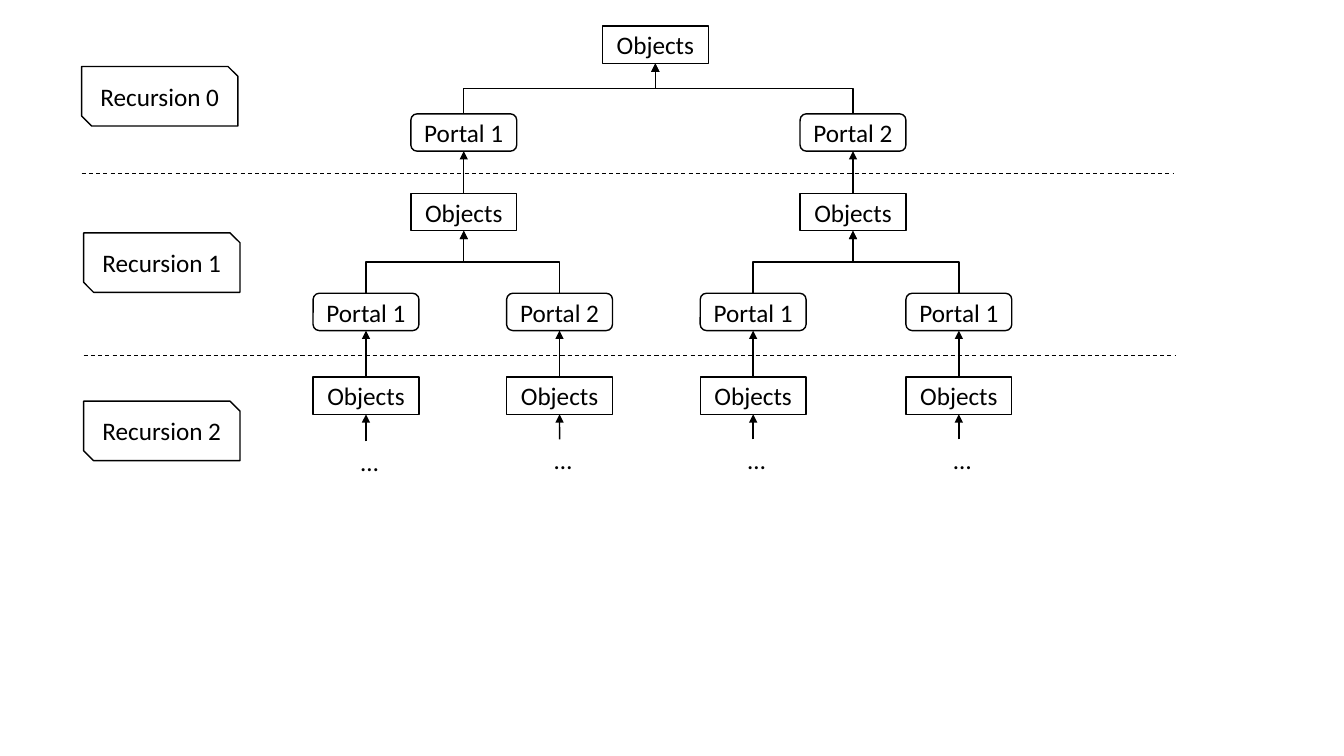
from dataclasses import dataclass

from lxml.etree import SubElement
from pptx import Presentation
from pptx.dml.color import RGBColor
from pptx.enum.dml import MSO_LINE
from pptx.enum.shapes import MSO_CONNECTOR, MSO_SHAPE
from pptx.enum.text import MSO_ANCHOR, PP_ALIGN
from pptx.oxml.ns import qn
from pptx.util import Inches, Pt


@dataclass(frozen=True)
class Theme:
    ink: RGBColor = RGBColor(0, 0, 0)
    paper: RGBColor = RGBColor(255, 255, 255)
    font: str = "Calibri"
    size: float = 18
    line: float = 1
    divider: float = 0.75


THEME = Theme()

# Grid: column centres and row tops, in inches
ROOT, LEFT, RIGHT = 6.5, 4.6, 8.46
LEAVES = [3.63, 5.55, 7.47, 9.51]
ROWS = [0.26, 1.13, 1.92, 2.91, 3.74]
BOX_W, BOX_H = 1.05, 0.37
TAG_W, TAG_H = 1.55, 0.59
DOTS_W, DOTS_H = 0.3, 0.4
DIVIDER_W = 10.82
TOP_SITE, BOTTOM_SITE = 0, 2


def write(s, text, anchor):
    tf = s.text_frame
    tf.word_wrap = True
    tf.vertical_anchor = anchor
    p = tf.paragraphs[0]
    p.alignment = PP_ALIGN.CENTER
    r = p.add_run()
    r.text = text
    r.font.name = THEME.font
    r.font.size = Pt(THEME.size)
    r.font.color.rgb = THEME.ink


def add_box(slide, kind, text, x, y, w, h):
    s = slide.shapes.add_shape(kind, Inches(x), Inches(y), Inches(w), Inches(h))
    s.shadow.inherit = False
    s.fill.solid()
    s.fill.fore_color.rgb = THEME.paper
    s.line.color.rgb = THEME.ink
    s.line.width = Pt(THEME.line)
    write(s, text, MSO_ANCHOR.MIDDLE)
    return s


def add_objects(slide, cx, row):
    return add_box(slide, MSO_SHAPE.RECTANGLE, "Objects",
                   cx - BOX_W / 2, ROWS[row], BOX_W, BOX_H)


def add_portal(slide, number, cx, row):
    return add_box(slide, MSO_SHAPE.ROUNDED_RECTANGLE, f"Portal {number}",
                   cx - BOX_W / 2, ROWS[row], BOX_W, BOX_H)


def add_line(slide, start=(0, 0), end=(0, 0), kind=MSO_CONNECTOR.STRAIGHT,
             width=THEME.line, arrow=True):
    s = slide.shapes.add_connector(kind, *map(Inches, start + end))
    s.line.color.rgb = THEME.ink
    s.line.width = Pt(width)
    if arrow:
        SubElement(s.line._get_or_add_ln(), qn("a:tailEnd"), type="triangle")
    SubElement(s._element.spPr, qn("a:effectLst"))
    return s


def link(slide, child, parent, kind=MSO_CONNECTOR.STRAIGHT):
    """Arrow from the top of child to the bottom of parent."""
    s = add_line(slide, kind=kind)
    s.begin_connect(child, TOP_SITE)
    s.end_connect(parent, BOTTOM_SITE)
    return s


def branch(slide, child, parent):
    """Elbow arrow that leaves upwards: a quarter turn of the preset."""
    s = link(slide, child, parent, MSO_CONNECTOR.ELBOW)
    x1, y1, x2, y2 = s.begin_x, s.begin_y, s.end_x, s.end_y
    rise, span = y1 - y2, abs(x2 - x1)
    s.left, s.top = (x1 + x2 - rise) // 2, (y1 + y2 - span) // 2
    s.width, s.height = rise, span
    rightwards = x2 > x1
    xfrm = s._element.spPr.find(qn("a:xfrm"))
    xfrm.set("rot", str((90 if rightwards else 270) * 60000))
    xfrm.set("flipH", "1" if rightwards else "0")
    xfrm.set("flipV", "1")


def add_divider(slide, x, y):
    s = add_line(slide, (x, y), (x + DIVIDER_W, y),
                 width=THEME.divider, arrow=False)
    s.line.dash_style = MSO_LINE.DASH


def add_continuation(slide, parent, cx, y):
    """Dots below a leaf, with an arrow up to it."""
    s = slide.shapes.add_textbox(Inches(cx - DOTS_W / 2), Inches(y),
                                 Inches(DOTS_W), Inches(DOTS_H))
    write(s, "…", MSO_ANCHOR.TOP)
    arrow = add_line(slide, (cx, y), (cx, ROWS[4] + BOX_H))
    arrow.end_connect(parent, BOTTOM_SITE)


def main():
    prs = Presentation()
    prs.slide_width, prs.slide_height = Inches(13.33), Inches(7.5)
    slide = prs.slides.add_slide(prs.slide_layouts[6])

    # Recursion tags and the dividers between levels
    for level, (x, y) in enumerate([(0.81, 0.66), (0.83, 2.31), (0.83, 3.98)]):
        add_box(slide, MSO_SHAPE.SNIP_2_DIAG_RECTANGLE, f"Recursion {level}",
                x, y, TAG_W, TAG_H)
    for x, y in [(0.81, 1.72), (0.83, 3.53)]:
        add_divider(slide, x, y)

    # Tree: each portal holds the objects of the next level
    root = add_objects(slide, ROOT, 0)
    halves = [(1, LEFT, LEAVES[:2], (1, 2)), (2, RIGHT, LEAVES[2:], (1, 1))]
    for number, cx, leaves, leaf_numbers in halves:
        portal = add_portal(slide, number, cx, 1)
        objects = add_objects(slide, cx, 2)
        branch(slide, portal, root)
        link(slide, objects, portal)
        for leaf_number, leaf_cx in zip(leaf_numbers, leaves):
            leaf_portal = add_portal(slide, leaf_number, leaf_cx, 3)
            leaf = add_objects(slide, leaf_cx, 4)
            branch(slide, leaf_portal, objects)
            link(slide, leaf, leaf_portal)
            dots_y = 4.38 if leaf_cx == LEAVES[0] else 4.36
            add_continuation(slide, leaf, leaf_cx, dots_y)

    prs.save("out.pptx")


if __name__ == "__main__":
    main()
